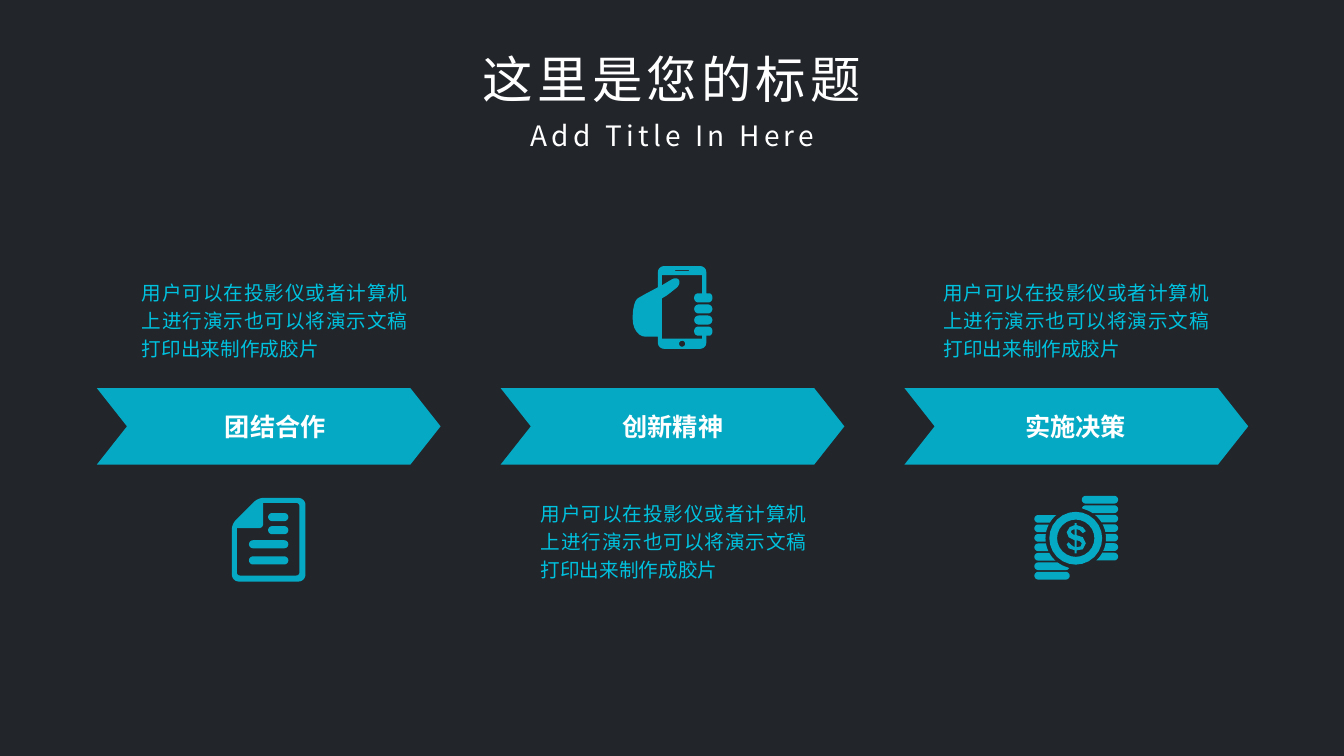
import math
from lxml import etree
from pptx import Presentation
from pptx.dml.color import RGBColor
from pptx.enum.shapes import MSO_SHAPE
from pptx.enum.text import MSO_ANCHOR, MSO_AUTO_SIZE, PP_ALIGN
from pptx.oxml.ns import qn
from pptx.util import Inches, Pt

CHEVRON, RECTANGLE = MSO_SHAPE.CHEVRON, MSO_SHAPE.RECTANGLE
CENTER, JUSTIFY = PP_ALIGN.CENTER, PP_ALIGN.JUSTIFY
TOP = MSO_ANCHOR.TOP
GROW = MSO_AUTO_SIZE.SHAPE_TO_FIT_TEXT

FONT = "Noto Sans CJK SC"
DARK, TEAL, CYAN, WHITE = "22252A", "06A9C3", "00C1DE", "FFFFFF"
BODY = "用户可以在投影仪或者计算机上进行演示也可以将演示文稿打印出来制作成胶片"


def color(value):
    return RGBColor.from_string(value)


def paint(shape, value):
    shape.shadow.inherit = False
    shape.fill.solid()
    shape.fill.fore_color.rgb = color(value)
    shape.line.fill.background()


def write(shape, text, size, ink, align=CENTER, leading=None, bold=False, tracking=0):
    frame = shape.text_frame
    frame.word_wrap = True
    frame.auto_size = GROW
    frame.vertical_anchor = TOP
    para = frame.paragraphs[0]
    para.alignment = align
    if leading:
        para.line_spacing = leading
    span = para.add_run()
    span.text = text
    span.font.name = FONT
    span.font.size = Pt(size)
    span.font.bold = bold
    span.font.color.rgb = color(ink)
    properties = span.font._element
    etree.SubElement(properties, qn("a:ea")).set("typeface", FONT)
    if tracking:
        properties.set("spc", str(tracking * 100))


def add_text(page, box, *content, **style):
    write(page.shapes.add_textbox(*map(Inches, box)), *content, **style)


def rounded(corners, steps=6):
    points = []
    for index, (x, y, radius) in enumerate(corners):
        ends = []
        for other in (corners[index - 1], corners[(index + 1) % len(corners)]):
            length = math.dist((x, y), other[:2])
            share = min(radius / length, 0.5)
            ends.append((x + (other[0] - x) * share, y + (other[1] - y) * share))
        (ax, ay), (bx, by) = ends
        for step in range(steps + 1 if radius else 1):
            t = step / steps
            a, c, b = (1 - t) ** 2, math.sqrt(2) * t * (1 - t), t * t
            total = a + b + c
            points.append(((a * ax + c * x + b * bx) / total,
                           (a * ay + c * y + b * by) / total))
    return points


def pill(x, y, width, height, radius=None):
    r = height / 2 if radius is None else radius
    return rounded([(x, y, r), (x + width, y, r),
                    (x + width, y + height, r), (x, y + height, r)])


def disc(x, y, radius):
    return pill(x - radius, y - radius, 2 * radius, 2 * radius)


def add_icon(page, left, top, contours):
    placed = [[(Inches(left + x), Inches(top + y)) for x, y in contour]
              for contour in contours]
    builder = page.shapes.build_freeform(*placed[0][0])
    builder.add_line_segments(placed[0][1:], close=True)
    for contour in placed[1:]:
        builder.move_to(*contour[0])
        builder.add_line_segments(contour[1:], close=True)
    paint(builder.convert_to_shape(), TEAL)


def phone_icon(page, left, top):
    outline = rounded([
        (0.25, 0, 0.06), (0.73, 0, 0.06), (0.73, 0.27, 0), (0.79, 0.27, 0.04),
        (0.79, 0.36, 0.04), (0.61, 0.36, 0.04), (0.61, 0.27, 0.04), (0.69, 0.27, 0),
        (0.69, 0.09, 0), (0.29, 0.09, 0), (0.29, 0.19, 0), (0.44, 0.1, 0.06),
        (0.48, 0.18, 0.06), (0.34, 0.29, 0), (0.29, 0.32, 0), (0.29, 0.72, 0),
        (0.69, 0.72, 0), (0.69, 0.69, 0), (0.61, 0.69, 0.04), (0.61, 0.6, 0.04),
        (0.79, 0.6, 0.04), (0.79, 0.69, 0.04), (0.73, 0.69, 0), (0.73, 0.82, 0.06),
        (0.25, 0.82, 0.06), (0.25, 0.7, 0), (0, 0.7, 0.2), (0, 0.35, 0.15),
        (0.1, 0.29, 0.03), (0.25, 0.21, 0)])
    fingers = [pill(0.61, y, 0.18, 0.09) for y in (0.38, 0.49)]
    add_icon(page, left, top,
             [outline, pill(0.42, 0.04, 0.14, 0.01), disc(0.49, 0.77, 0.03), *fingers])


def document_icon(page, left, top):
    sheet = rounded([(0.26, 0, 0.05), (0.73, 0, 0.07), (0.73, 0.83, 0.07),
                     (0, 0.83, 0.07), (0, 0.26, 0.05)])
    inside = rounded([(0.31, 0.05, 0), (0.67, 0.05, 0.03), (0.67, 0.77, 0.03),
                      (0.05, 0.77, 0.03), (0.05, 0.3, 0), (0.31, 0.3, 0.04)])
    lines = [pill(x, y, 0.56 - x, 0.08)
             for x, y in ((0.36, 0.15), (0.36, 0.28), (0.17, 0.42), (0.17, 0.58))]
    add_icon(page, left, top, [sheet, inside, *lines])


def coins_icon(page, left, top):
    x, y, gap = 0.41, 0.42, 0.3

    def clear(contour, side):
        return [(x + side * math.sqrt(gap ** 2 - (v - y) ** 2), v)
                if math.dist((u, v), (x, y)) < gap else (u, v) for u, v in contour]

    stacks = []
    for level in range(7):
        rise = 0.094 * level
        stacks.append(clear(pill(0, 0.19 + rise, 0.35, 0.076), -1))
        stacks.append(clear(pill(0.47, rise, 0.36, 0.076), 1))
    dollar = [(0.4, 0.27), (0.42, 0.27), (0.42, 0.29), (0.48, 0.31), (0.51, 0.35),
              (0.48, 0.37), (0.45, 0.34), (0.42, 0.33), (0.42, 0.39), (0.48, 0.41),
              (0.51, 0.47), (0.48, 0.53), (0.42, 0.54), (0.42, 0.57), (0.4, 0.57),
              (0.4, 0.54), (0.34, 0.52), (0.32, 0.48), (0.34, 0.46), (0.37, 0.49),
              (0.4, 0.51), (0.4, 0.44), (0.34, 0.41), (0.32, 0.36), (0.35, 0.31),
              (0.4, 0.29)]
    bowls = [[(0.42, 0.44), (0.42, 0.51), (0.46, 0.5), (0.47, 0.47), (0.45, 0.45)],
             [(0.4, 0.33), (0.37, 0.34), (0.36, 0.36), (0.38, 0.38), (0.4, 0.39)]]
    add_icon(page, left, top,
             [*stacks, disc(x, y, 0.262), disc(x, y, 0.185), dollar, *bowls])


def heading(page, left, top):
    add_text(page, (left, top, 5.81, 0.71), "这里是您的标题", 36, WHITE, tracking=3)
    add_text(page, (left + 1.06, top + 0.7, 3.7, 0.44), "Add Title In Here", 20, WHITE,
             tracking=3)


def step_arrow(page, left, top, label, label_shift):
    arrow = page.shapes.add_shape(CHEVRON, *map(Inches, (left, top, 3.41, 0.76)))
    arrow.adjustments[0] = 0.3 / 0.76
    paint(arrow, TEAL)
    plate = page.shapes.add_shape(
        RECTANGLE, *map(Inches, (left + label_shift, top + 0.12, 2.24, 0.43)))
    paint(plate, TEAL)
    write(plate, label, 18, WHITE, leading=1.2, bold=True)


def step(page, left, top, label, label_shift, body_shift, body_above, icon, icon_at):
    step_arrow(page, left, top, label, label_shift)
    body_top = top - 1.16 if body_above else top + 1.03
    add_text(page, (left + body_shift, body_top, 2.83, 0.95), BODY, 14, CYAN,
             align=JUSTIFY, leading=1.2)
    icon(page, left + icon_at[0], top + icon_at[1])


def main():
    deck = Presentation()
    deck.slide_width, deck.slide_height = Inches(13.33), Inches(7.5)
    page = deck.slides.add_slide(deck.slide_layouts[6])
    page.background.fill.solid()
    page.background.fill.fore_color.rgb = color(DARK)
    heading(page, 3.76, 0.43)
    steps = [("团结合作", 0.65, 0.35, True, document_icon, (1.34, 1.09)),
             ("创新精神", 0.59, 0.3, False, phone_icon, (1.31, -1.21)),
             ("实施决策", 0.58, 0.29, True, coins_icon, (1.29, 1.07))]
    for index, details in enumerate(steps):
        step(page, 0.96 + 4.005 * index, 3.85, *details)
    deck.save("out.pptx")


if __name__ == "__main__":
    main()
